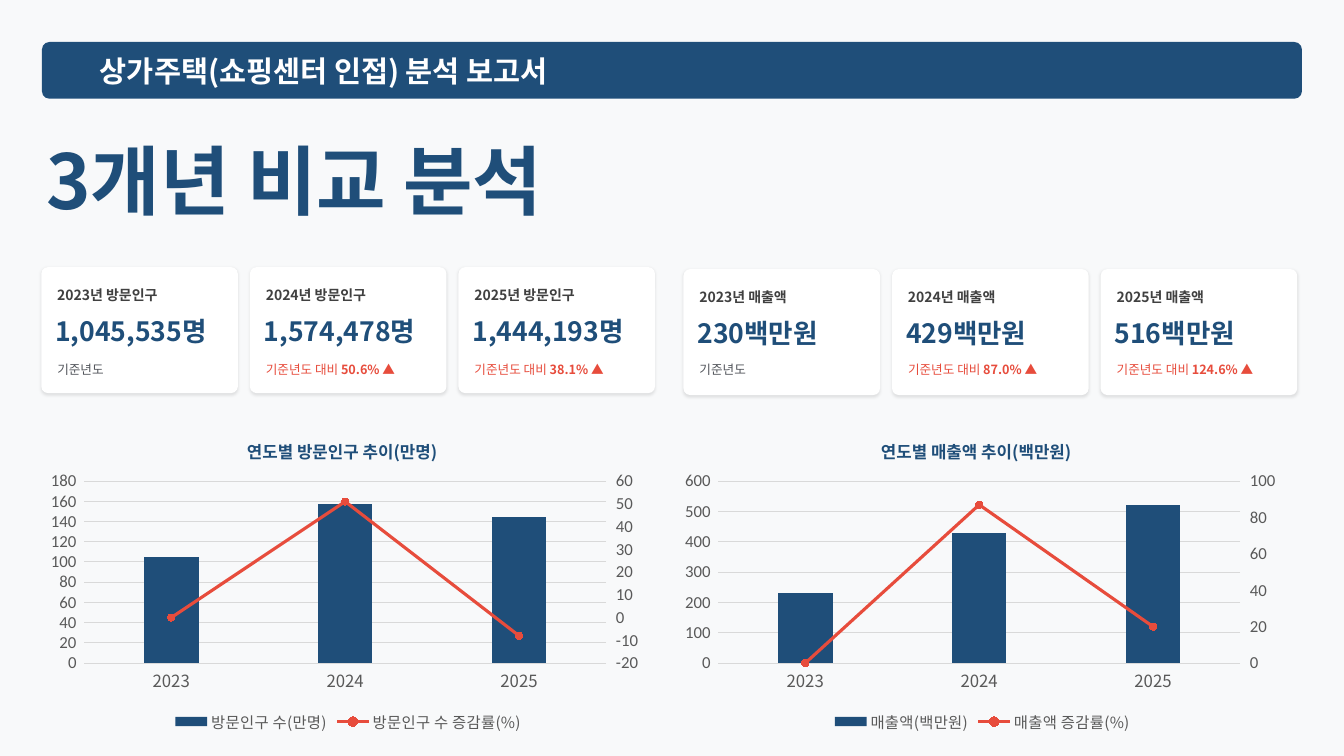
from copy import deepcopy

from pptx import Presentation
from pptx import util as u
from pptx.chart import axis as ax
from pptx.chart.data import CategoryChartData
from pptx.dml.color import RGBColor
from pptx.enum import chart as ch, shapes, text
from pptx.oxml import parse_xml
from pptx.oxml.ns import nsdecls, qn

COLORS = {
    "page": "F8F9FA", "white": "FFFFFF", "navy": "1F4E79", "red": "E74C3C",
    "label": "404040", "muted": "51545A", "axis": "595959", "grid": "D9D9D9",
}
KOREAN, LATIN = "Noto Sans CJK KR", "Calibri"
YEARS = ("2023", "2024", "2025")
CARD_W, CARD_H, CARD_STEP = 140.4, 90, 149

# left, top, measure, then (value, growth, label width) for each year
CARD_GROUPS = [
    (29.5, 190.8, "방문인구",
     [("1,045,535명", None, 80), ("1,574,478명", "50.6% ▲", 78), ("1,444,193명", "38.1% ▲", 73)]),
    (488.2, 192.2, "매출액",
     [("230백만원", None, 78), ("429백만원", "87.0% ▲", 78), ("516백만원", "124.6% ▲", 78)]),
]

# left, title, number format, then (name, values, (min, max, step)) for columns and line
CHARTS = [
    (29.5, "연도별 방문인구 추이(만명)", r"#,##0_);[Red]\(#,##0\)",
     ("방문인구 수(만명)", (105, 157, 144), (0, 180, 20)),
     ("방문인구 수 증감률(%)", (0, 51, -8), (-20, 60, 10))),
    (482.4, "연도별 매출액 추이(백만원)", "#,##0_ ",
     ("매출액(백만원)", (230, 430, 520), (0, 600, 100)),
     ("매출액 증감률(%)", (0, 87, 20), (0, 100, 20))),
]


def color(name):
    return RGBColor.from_string(COLORS[name])


def set_font(font, size, shade, bold=False, name=KOREAN):
    font.size, font.bold, font.name = u.Pt(size), bold, name
    font.color.rgb = color(shade)
    font._element.append(parse_xml(f'<a:ea {nsdecls("a")} typeface="{name}"/>'))


def set_scale(axis, scale):
    axis.minimum_scale, axis.maximum_scale, axis.major_unit = scale


def set_layout(parent, **places):
    """Put a manual layout into a chart title or plot area."""
    items = "".join(f'<c:{k} val="{v}"/>' for k, v in places.items())
    for old in parent.findall(qn("c:layout")):
        parent.remove(old)
    layout = parse_xml(f'<c:layout {nsdecls("c")}><c:manualLayout>{items}</c:manualLayout></c:layout>')
    tx = parent.find(qn("c:tx"))
    if tx is None:
        parent.insert(0, layout)
    else:
        tx.addnext(layout)


def move_to_right_axis(chart, scale):
    """Turn the second column series into a line on a right-hand axis."""
    plot_area = chart._chartSpace.chart.plotArea
    bars = plot_area.find(qn("c:barChart"))
    ser = bars.findall(qn("c:ser"))[1]
    for flag in ser.findall(qn("c:invertIfNegative")):
        ser.remove(flag)
    line = parse_xml(
        f'<c:lineChart {nsdecls("c")}><c:grouping val="standard"/><c:varyColors val="0"/>'
        '<c:marker val="1"/><c:axId val="5001"/><c:axId val="5002"/></c:lineChart>')
    line.insert(2, ser)
    bars.addnext(line)

    cat, val = plot_area.find(qn("c:catAx")), plot_area.find(qn("c:valAx"))
    right, hidden = deepcopy(val), deepcopy(cat)
    val.addnext(right)
    right.addnext(hidden)
    for node, own, other in ((hidden, "5001", "5002"), (right, "5002", "5001")):
        node.find(qn("c:axId")).set("val", own)
        node.find(qn("c:crossAx")).set("val", other)
    right.find(qn("c:axPos")).set("val", "r")
    right.find(qn("c:crosses")).set("val", "max")
    ax.CategoryAxis(hidden).visible = False
    right_axis = ax.ValueAxis(right)
    right_axis.has_major_gridlines = False
    right_axis.major_tick_mark = ch.XL_TICK_MARK.OUTSIDE
    right_axis.tick_labels.number_format = "General"
    set_scale(right_axis, scale)


class Deck:
    """Holds the presentation, its style and the current slide."""

    def __init__(self):
        self.prs = Presentation()
        self.prs.slide_width, self.prs.slide_height = u.Pt(960), u.Pt(540)
        self.s = self.prs.slides.add_slide(self.prs.slide_layouts[6])
        self.s.background.fill.solid()
        self.s.background.fill.fore_color.rgb = color("page")

    def panel(self, x, y, w, h, fill, corner, shadow=False):
        sp = self.s.shapes.add_shape(shapes.MSO_SHAPE.ROUNDED_RECTANGLE, *map(u.Pt, (x, y, w, h)))
        sp.adjustments[0] = corner
        sp.fill.solid()
        sp.fill.fore_color.rgb = color(fill)
        sp.line.fill.background()
        sp.shadow.inherit = False
        if shadow:
            sp._element.spPr.find(qn("a:effectLst")).append(parse_xml(
                f'<a:outerShdw {nsdecls("a")} blurRad="{u.Pt(2)}" dist="{u.Pt(1)}" dir="5400000">'
                '<a:srgbClr val="000000"><a:alpha val="10000"/></a:srgbClr></a:outerShdw>'))

    def text(self, x, y, w, h, size, shade, *runs):
        """Add one line of text; each run is a (words, bold) pair."""
        tf = self.s.shapes.add_textbox(*map(u.Pt, (x, y, w, h))).text_frame
        tf.word_wrap = True
        tf.vertical_anchor = text.MSO_ANCHOR.MIDDLE
        tf.margin_left = tf.margin_right = tf.margin_top = tf.margin_bottom = 0
        p = tf.paragraphs[0]
        for words, bold in runs:
            r = p.add_run()
            r.text = words
            set_font(r.font, size, shade, bold)

    def card(self, x, y, label, value, growth, label_w):
        self.panel(x, y, CARD_W, CARD_H, "white", 0.053, shadow=True)
        self.text(x + 11.4, y + 13, label_w, 13, 10, "label", (label, True))
        self.text(x + 10, y + 35.3, CARD_W, 21, 19, "navy", (value, True))
        note = (x + 11.4, 256.3, 126, 15, 9)
        if growth:
            self.text(*note, "red", ("기준년도 대비 ", False), (growth, True))
        else:
            self.text(*note, "muted", ("기준년도", False))

    def combo_chart(self, x, title, number_format, columns, growth):
        data = CategoryChartData()
        data.categories = YEARS
        for name, values, _ in (columns, growth):
            data.add_series(name, values)
        chart = self.s.shapes.add_chart(
            ch.XL_CHART_TYPE.COLUMN_CLUSTERED, *map(u.Pt, (x, 298, 438.5, 228.2)), data).chart
        chart.font.size, chart.font.name = u.Pt(10), LATIN

        chart.has_title = True
        p = chart.chart_title.text_frame.paragraphs[0]
        r = p.add_run()
        r.text = title
        set_font(r.font, 12, "navy", True)
        chart.has_legend = True
        chart.legend.position = ch.XL_LEGEND_POSITION.BOTTOM
        chart.legend.include_in_layout = False
        set_font(chart.legend.font, 11, "axis")

        cat, val = chart.category_axis, chart.value_axis
        for axis, name in ((cat, KOREAN), (val, LATIN)):
            axis.major_tick_mark = axis.minor_tick_mark = ch.XL_TICK_MARK.NONE
            set_font(axis.tick_labels.font, 12, "axis", name=name)
        val.has_major_gridlines = True
        for line in (cat.format.line, val.major_gridlines.format.line):
            line.width = u.Pt(0.75)
            line.color.rgb = color("grid")
        val.format.line.fill.background()
        val.tick_labels.number_format = number_format
        val.tick_labels.number_format_is_linked = False
        set_scale(val, columns[2])
        move_to_right_axis(chart, growth[2])

        bars, lines = chart.plots
        bars.gap_width = 219
        bars.vary_by_categories = False
        bar, line = bars.series[0], lines.series[0]
        line.smooth = False
        line.format.line.width = u.Pt(2.25)
        line.format.line.color.rgb = color("red")
        line.marker.style, line.marker.size = ch.XL_MARKER_STYLE.CIRCLE, 5
        line.marker.format.line.color.rgb = color("red")
        for fmt, shade in ((bar.format, "navy"), (line.marker.format, "red")):
            fmt.fill.solid()
            fmt.fill.fore_color.rgb = color(shade)

        set_layout(chart.chart_title._element, xMode="edge", yMode="edge", x=0.33, y=0.05)
        set_layout(chart._chartSpace.chart.plotArea, layoutTarget="inner", xMode="edge",
                   yMode="edge", x=0.07, y=0.2, w=0.85, h=0.57)


def main():
    deck = Deck()
    for left, top, measure, cards in CARD_GROUPS:
        for i, (year, card) in enumerate(zip(YEARS, cards)):
            deck.card(left + i * CARD_STEP, top, f"{year}년 {measure}", *card)
    deck.panel(30, 30, 900, 40.5, "navy", 0.132)
    deck.text(71.4, 35, 817, 31, 21, "white", ("상가주택(쇼핑센터 인접) 분석 보고서", True))
    deck.text(33, 88.5, 455, 78.5, 54, "navy", ("3개년 비교 분석", True))
    for spec_row in CHARTS:
        deck.combo_chart(*spec_row)
    deck.prs.save("out.pptx")


if __name__ == "__main__":
    main()
